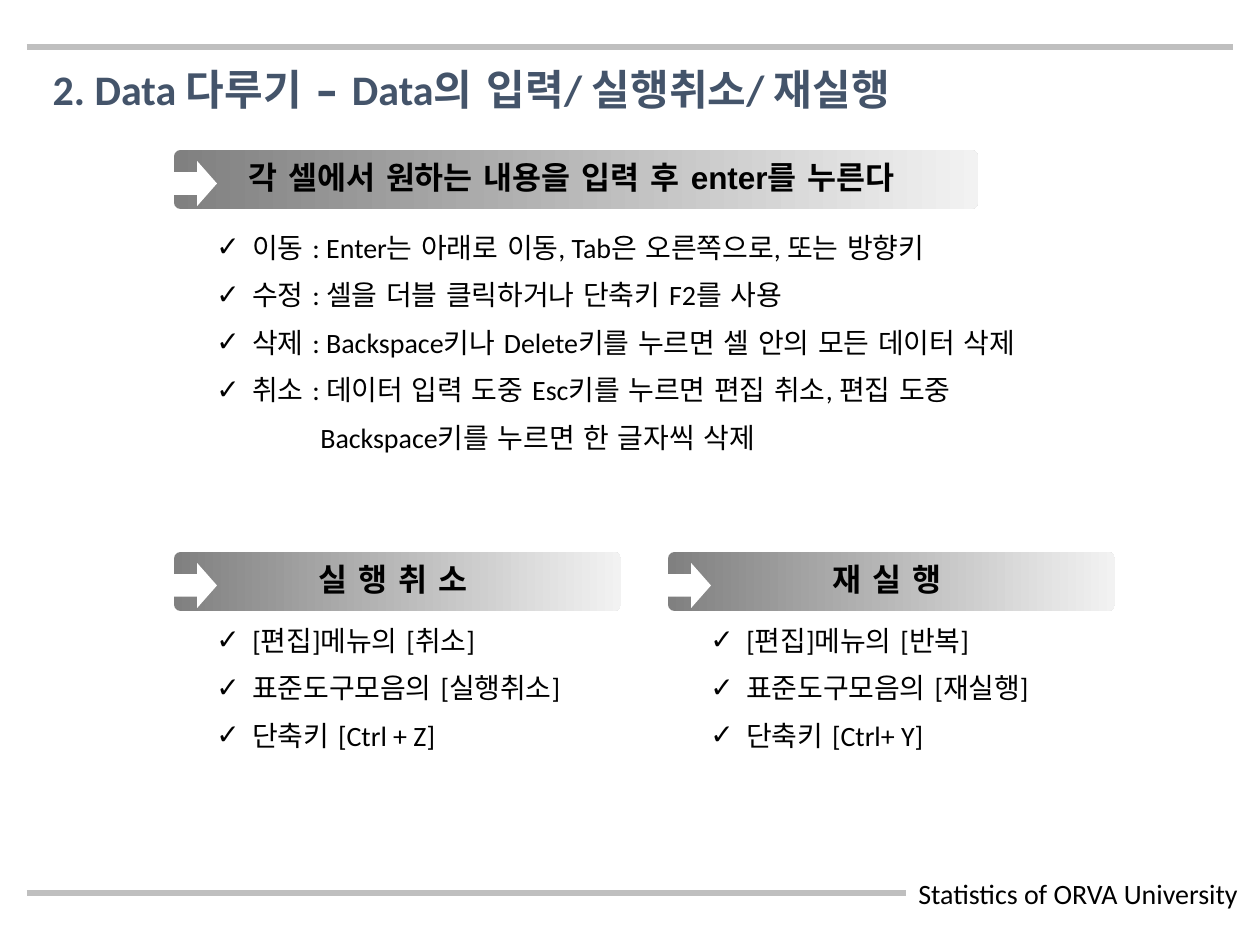
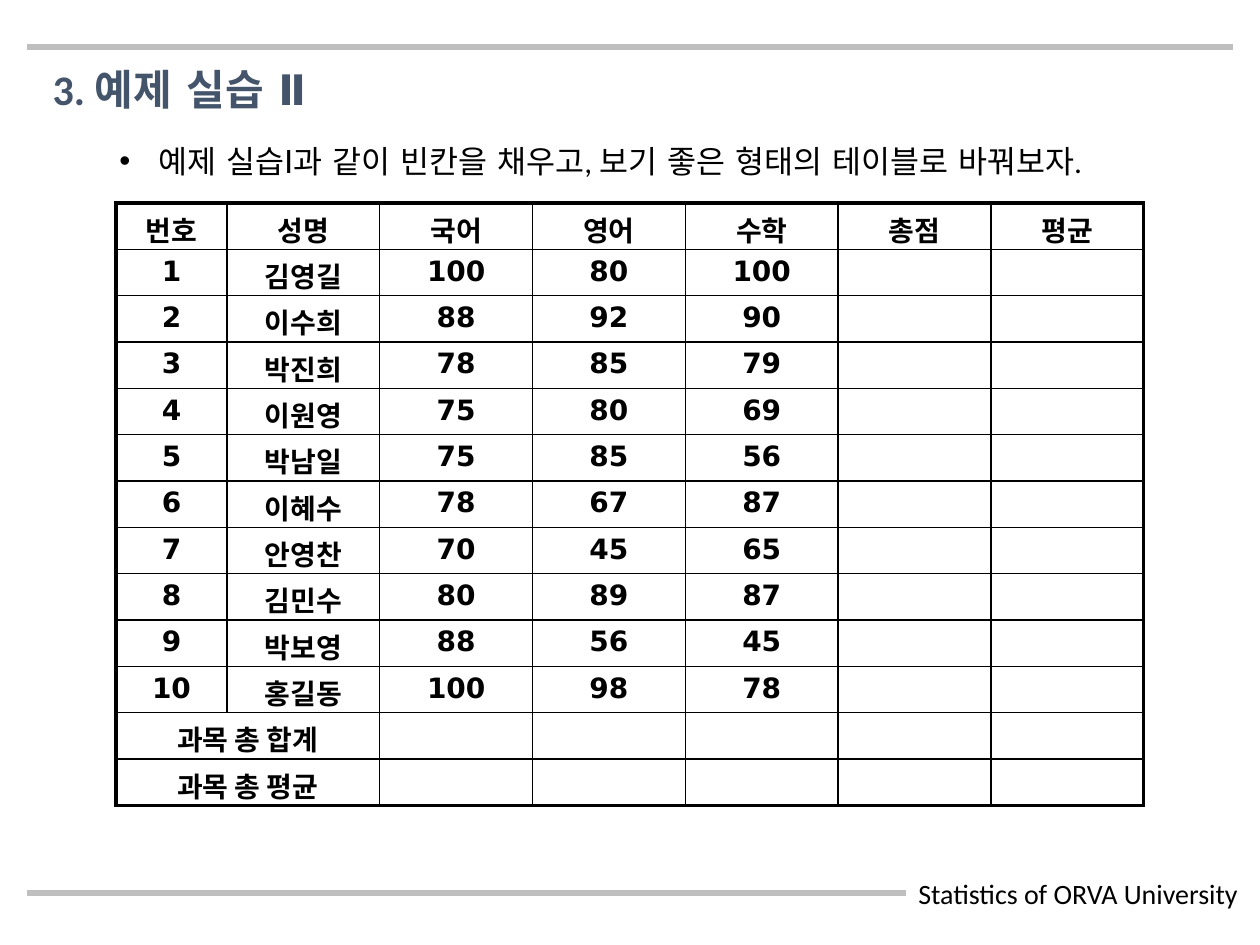
from lxml import etree
from pptx import Presentation
from pptx.dml.color import RGBColor
from pptx.enum.shapes import MSO_CONNECTOR, MSO_SHAPE
from pptx.enum.text import MSO_ANCHOR, MSO_AUTO_SIZE, PP_ALIGN
from pptx.oxml.ns import qn
from pptx.util import Emu, Pt

SLIDE_WIDTH, SLIDE_HEIGHT = 1260, 945
EMU_PER_PX = 914400 / 126

BLACK = RGBColor(0x00, 0x00, 0x00)
WHITE = RGBColor(0xFF, 0xFF, 0xFF)
RULE_GREY = RGBColor(0xBF, 0xBF, 0xBF)
BAR_DARK = RGBColor(0x80, 0x80, 0x80)
BAR_LIGHT = RGBColor(0xF2, 0xF2, 0xF2)
TITLE_BLUE = RGBColor(0x44, 0x54, 0x6A)

STRAIGHT = MSO_CONNECTOR.STRAIGHT
RECTANGLE = MSO_SHAPE.RECTANGLE
ROUNDED = MSO_SHAPE.ROUNDED_RECTANGLE
RIGHT_ARROW = MSO_SHAPE.RIGHT_ARROW
LEFT, CENTER = PP_ALIGN.LEFT, PP_ALIGN.CENTER
TOP, MIDDLE = MSO_ANCHOR.TOP, MSO_ANCHOR.MIDDLE
NO_AUTOFIT = MSO_AUTO_SIZE.NONE

TITLE_FORMAT = {"name": "Calibri", "size": Pt(24), "bold": True}
BODY_FORMAT = {"name": "Calibri", "size": Pt(16), "bold": False}
LEAD_FORMAT = {"name": "Calibri", "size": Pt(18), "bold": False}
BAR_FORMAT = {"name": "Calibri", "size": Pt(18), "bold": True}
MAIN_BAR_FORMAT = {**BAR_FORMAT, "name": "Arial"}
CELL_FORMAT = {"name": "DejaVu Sans", "size": Pt(16), "bold": True}
TEXT_EAST_ASIAN = "DejaVu Sans"
CELL_EAST_ASIAN = "Noto Sans CJK KR"

FOOTER_TEXT = "Statistics of ORVA University"
ENTRY_STEPS = [
    "이동 : Enter는 아래로 이동, Tab은 오른쪽으로, 또는 방향키",
    "수정 : 셀을 더블 클릭하거나 단축키 F2를 사용",
    "삭제 : Backspace키나 Delete키를 누르면 셀 안의 모든 데이터 삭제",
    "취소 : 데이터 입력 도중 Esc키를 누르면 편집 취소, 편집 도중",
]
ENTRY_CONTINUATION = "Backspace키를 누르면 한 글자씩 삭제"
HISTORY_PANELS = [
    (170, "실 행 취 소 ",
     ["[편집]메뉴의 [취소]", "표준도구모음의 [실행취소]", "단축키 [Ctrl + Z]"]),
    (664, "재 실 행 ",
     ["[편집]메뉴의 [반복]", "표준도구모음의 [재실행]", "단축키 [Ctrl+ Y]"]),
]

SCORE_HEADER = ["번호", "성명", "국어", "영어", "수학", "총점", "평균"]
SCORES = [
    ("김영길", 100, 80, 100),
    ("이수희", 88, 92, 90),
    ("박진희", 78, 85, 79),
    ("이원영", 75, 80, 69),
    ("박남일", 75, 85, 56),
    ("이혜수", 78, 67, 87),
    ("안영찬", 70, 45, 65),
    ("김민수", 80, 89, 87),
    ("박보영", 88, 56, 45),
    ("홍길동", 100, 98, 78),
]
SUMMARY_LABELS = ["과목 총 합계", "과목 총 평균"]
NUMBER_COLUMN_WIDTH = 111


def px(length):
    return Emu(round(length * EMU_PER_PX))


def box_px(*box):
    return [px(length) for length in box]


def set_values(target, values):
    for name, value in values.items():
        setattr(target, name, value)


def write_run(paragraph, text, font_format, color=BLACK, east_asian=TEXT_EAST_ASIAN):
    run = paragraph.add_run()
    run.text = text
    set_values(run.font, font_format)
    run.font.color.rgb = color
    properties = run.font._element
    etree.SubElement(properties, qn("a:ea"), typeface=east_asian)


def set_indent(paragraph, margin, first_line, bullet=None):
    properties = paragraph._p.get_or_add_pPr()
    properties.set("marL", str(px(margin)))
    properties.set("indent", str(px(first_line)))
    if bullet:
        etree.SubElement(properties, qn("a:buFont"), typeface="Arial")
        etree.SubElement(properties, qn("a:buChar"), char=bullet)


def add_text(slide, box, text, font_format, alignment=LEFT):
    shape = slide.shapes.add_textbox(*box_px(*box))
    shape.text_frame.word_wrap = True
    paragraph = shape.text_frame.paragraphs[0]
    paragraph.alignment = alignment
    write_run(paragraph, text, font_format)
    return paragraph


def add_block(slide, kind, box, color=None, adjustments=()):
    shape = slide.shapes.add_shape(kind, *box_px(*box))
    shape.shadow.inherit = False
    shape.line.fill.background()
    if color is not None:
        shape.fill.solid()
        shape.fill.fore_color.rgb = color
    for index, adjustment in enumerate(adjustments):
        shape.adjustments[index] = adjustment
    return shape


def add_rule(slide, y):
    margin = 27
    ends = box_px(margin, y, SLIDE_WIDTH - margin, y)
    connector = slide.shapes.add_connector(STRAIGHT, *ends)
    connector.line.color.rgb = RULE_GREY
    connector.line.width = Pt(3)
    etree.SubElement(connector._element.spPr, qn("a:effectLst"))


def add_frame(slide):
    for y in (47, 893):
        add_rule(slide, y)
    footer = add_block(slide, RECTANGLE, (906, 870, 344, 47), WHITE)
    set_values(footer.text_frame, {"word_wrap": False, "vertical_anchor": MIDDLE})
    paragraph = footer.text_frame.paragraphs[0]
    paragraph.alignment = LEFT
    write_run(paragraph, FOOTER_TEXT, BODY_FORMAT)


def add_titled_slide(presentation, title_text):
    slide = presentation.slides.add_slide(presentation.slide_layouts[5])
    add_frame(slide)
    title = slide.shapes.title
    set_values(title, dict(zip(("left", "top", "width", "height"),
                               box_px(40, 57, 900, 63))))
    set_values(title.text_frame, {"auto_size": NO_AUTOFIT, "word_wrap": True,
                                  "vertical_anchor": TOP})
    paragraph = title.text_frame.paragraphs[0]
    paragraph.alignment = LEFT
    write_run(paragraph, title_text, TITLE_FORMAT, TITLE_BLUE)
    return slide


def add_heading_bar(slide, left, top, width, text, font_format=BAR_FORMAT):
    bar = add_block(slide, ROUNDED, (left + 4, top, width, 59), adjustments=(0.11,))
    bar.fill.gradient()
    bar.fill.gradient_angle = 0
    for stop, position, color in zip(bar.fill.gradient_stops, (0, 1),
                                     (BAR_DARK, BAR_LIGHT)):
        stop.position = position
        stop.color.rgb = color
    add_block(slide, RIGHT_ARROW, (left, top + 11, 47, 45), WHITE, (0.5, 0.44))
    add_text(slide, (left + 53, top + 2, width - 96, 48), text, font_format, CENTER)


def add_check_list(slide, box, items, continuation=None):
    shape = slide.shapes.add_textbox(*box_px(*box))
    frame = shape.text_frame
    frame.word_wrap = True
    lines = [(item, 70, -36, "✓") for item in items]
    if continuation:
        lines.append((continuation, 138, 0, None))
    for index, (text, margin, first_line, bullet) in enumerate(lines):
        paragraph = frame.add_paragraph() if index else frame.paragraphs[0]
        paragraph.space_before = Pt(8) if index else Pt(0)
        set_indent(paragraph, margin, first_line, bullet)
        write_run(paragraph, text, BODY_FORMAT)


def set_borders(cell, widths):
    properties = cell._tc.get_or_add_tcPr()
    for index, (side, width) in enumerate(widths.items()):
        border = etree.Element(qn("a:ln" + side), w=str(Pt(width)))
        fill = etree.SubElement(border, qn("a:solidFill"))
        etree.SubElement(fill, qn("a:srgbClr"), val=str(BLACK))
        properties.insert(index, border)


def score_rows():
    rows = [SCORE_HEADER]
    rows += [[number, *score, "", ""] for number, score in enumerate(SCORES, 1)]
    rows += [[label] + [""] * 6 for label in SUMMARY_LABELS]
    return rows


def add_score_table(slide, left, top, width, height):
    rows = score_rows()
    row_count, column_count = len(rows), len(SCORE_HEADER)
    table = slide.shapes.add_table(row_count, column_count,
                                   *box_px(left, top, width, height)).table
    set_values(table, {"first_row": False, "horz_banding": False})
    subject_width = (width - NUMBER_COLUMN_WIDTH) / (column_count - 1)
    for index, column in enumerate(table.columns):
        column.width = px(subject_width if index else NUMBER_COLUMN_WIDTH)
    for row in table.rows:
        row.height = px(height / row_count)
    for row_index, values in enumerate(rows):
        for column_index, value in enumerate(values):
            cell = table.cell(row_index, column_index)
            cell.fill.background()
            set_values(cell, {"margin_top": px(6), "margin_bottom": 0,
                              "vertical_anchor": TOP})
            set_borders(cell, {
                "L": 1 if column_index else 2.25,
                "R": 2.25 if column_index == column_count - 1 else 1,
                "T": 1 if row_index else 2.25,
                "B": 2.25 if row_index == row_count - 1 else 1,
            })
            paragraph = cell.text_frame.paragraphs[0]
            paragraph.alignment = CENTER
            if value == "":
                paragraph.font.size = CELL_FORMAT["size"]
            else:
                write_run(paragraph, str(value), CELL_FORMAT,
                          east_asian=CELL_EAST_ASIAN)
    for row_index in range(row_count - len(SUMMARY_LABELS), row_count):
        table.cell(row_index, 0).merge(table.cell(row_index, 1))


def build_entry_slide(presentation):
    slide = add_titled_slide(presentation, "2. Data 다루기 – Data의 입력/ 실행취소/ 재실행")
    add_heading_bar(slide, 170, 150, 804, "각 셀에서 원하는 내용을 입력 후 enter를 누른다 ",
                    MAIN_BAR_FORMAT)
    add_check_list(slide, (170, 224, 1018, 251), ENTRY_STEPS, ENTRY_CONTINUATION)
    for left, heading, items in HISTORY_PANELS:
        add_heading_bar(slide, left, 552, 447, heading)
        add_check_list(slide, (left, 617, 514, 149), items)


def build_exercise_slide(presentation):
    slide = add_titled_slide(presentation, "3. 예제 실습 Ⅱ")
    add_score_table(slide, 116, 203, 1028, 600)
    lead = add_text(slide, (107, 136, 1097, 50),
                    "예제 실습Ⅰ과 같이 빈칸을 채우고, 보기 좋은 형태의 테이블로 바꿔보자.", LEAD_FORMAT)
    set_indent(lead, 39, -39, "•")


def main():
    presentation = Presentation()
    presentation.slide_width = px(SLIDE_WIDTH)
    presentation.slide_height = px(SLIDE_HEIGHT)
    build_entry_slide(presentation)
    build_exercise_slide(presentation)
    presentation.save("out.pptx")


if __name__ == "__main__":
    main()
